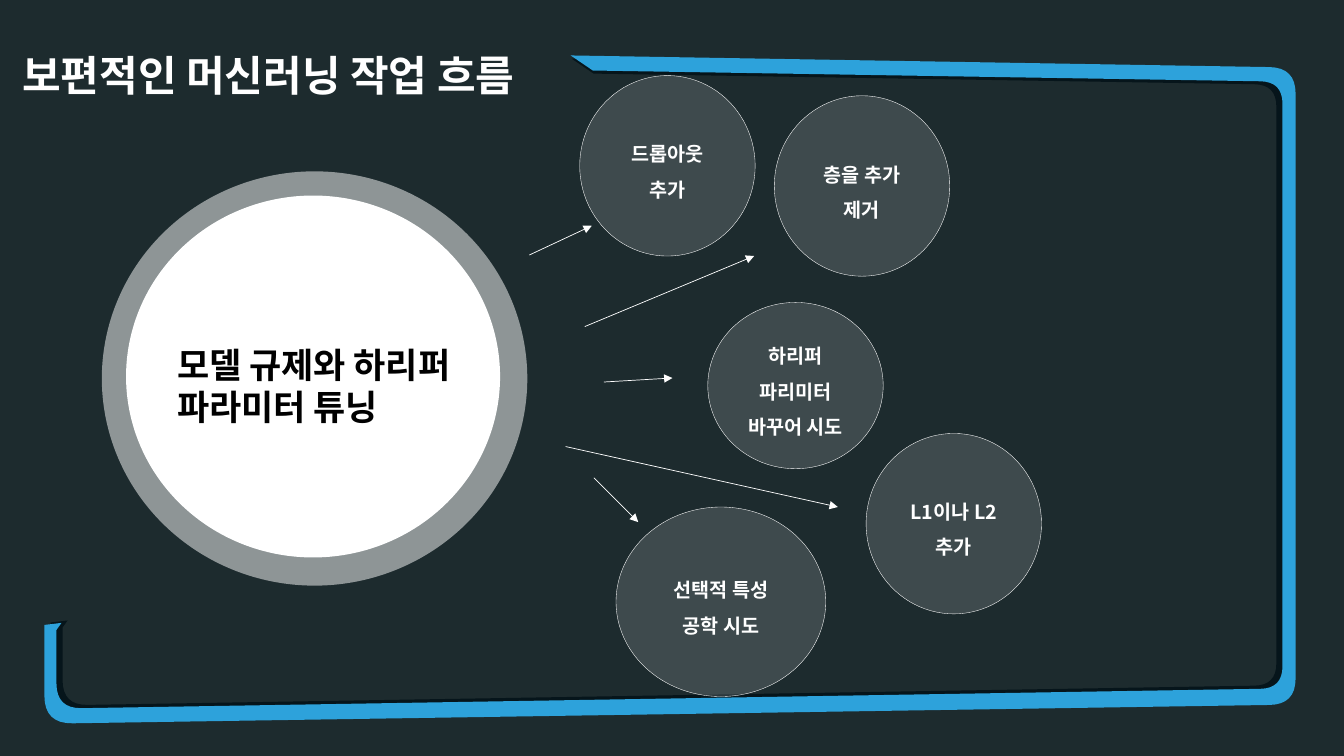
from lxml.etree import SubElement
from pptx import Presentation
from pptx.dml.color import RGBColor
from pptx.enum.shapes import MSO_CONNECTOR, MSO_SHAPE
from pptx.enum.text import MSO_ANCHOR, MSO_AUTO_SIZE, PP_ALIGN
from pptx.oxml.ns import qn
from pptx.util import Inches, Pt

HUES = {"back": "1D2B2E", "blue": "2DA2DB", "dark": "06151B",
        "white": "FFFFFF", "black": "000000"}
FACE = "Noto Sans CJK KR"
EDGE = [(5.66, 0.55, 0), (12.85, 0.67, 0.26), (12.85, 6.99, 0.26),
        (0.44, 7.18, 0.28), (0.44, 6.2, 0), (0.61, 6.18, 0),
        (0.56, 6.25, 0), (0.56, 7.03, 0.25), (12.72, 6.83, 0.22),
        (12.72, 0.81, 0.22), (5.88, 0.7, 0)]
IDEAS = [("드롭아웃 추가", (5.75, 0.75, 1.74, 1.79)),
         ("하리퍼 파리미터 바꾸어 시도", (7.02, 3, 1.74, 1.65)),
         ("선택적 특성 공학 시도", (6.11, 5.03, 2.08, 1.88)),
         ("층을 추가 제거", (7.68, 0.95, 1.74, 1.79)),
         ("L1이나 L2 추가", (8.59, 4.3, 1.74, 1.79))]
ARROWS = [(5.8, 3.24, 7.48, 2.54), (5.99, 3.79, 6.67, 3.75),
          (5.89, 4.74, 6.33, 5.18), (5.25, 2.53, 5.87, 2.24),
          (5.61, 4.43, 8.31, 5.03)]


def hue(name):
    """Return the named colour."""
    return RGBColor.from_string(HUES[name])


def apply(item, values):
    """Set each attribute of item from a dict."""
    for key, value in values.items():
        setattr(item, key, value)


def paint(shape, name, alpha=100):
    """Fill a shape without shadow or outline."""
    shape.shadow.inherit = False
    shape.fill.solid()
    shape.fill.fore_color.rgb = hue(name)
    shape.line.fill.background()
    if alpha < 100:
        tint = shape.fill._xPr.find(".//" + qn("a:srgbClr"))
        SubElement(tint, qn("a:alpha"), val=str(alpha * 1000))


def write(shape, text, size, name, frame, para):
    """Put one bold paragraph into a shape."""
    body = shape.text_frame
    apply(body, {"word_wrap": True, "auto_size": MSO_AUTO_SIZE.NONE, **frame})
    line = body.paragraphs[0]
    apply(line, para)
    run = line.add_run()
    run.text = text
    apply(run.font, {"name": FACE, "size": Pt(size), "bold": True})
    run.font.color.rgb = hue(name)
    SubElement(run.font._element, qn("a:ea"), typeface=FACE)


def curve(edge):
    """Return the points of an outline with its corners rounded."""
    dots = []
    for i, (x, y, r) in enumerate(edge):
        if not r:
            dots.append((x, y))
            continue
        ends = []
        for px, py, _ in (edge[i - 1], edge[(i + 1) % len(edge)]):
            far = ((px - x) ** 2 + (py - y) ** 2) ** 0.5
            ends.append((x + (px - x) * r / far, y + (py - y) * r / far))
        (ax, ay), (bx, by) = ends
        for t in (k / 8 for k in range(9)):
            u = 1 - t
            dots.append((u * u * ax + 2 * u * t * x + t * t * bx,
                         u * u * ay + 2 * u * t * y + t * t * by))
    return dots


def frame(slide, mid, scale, name):
    """Draw the open frame scaled about its middle."""
    dots = [tuple(Inches(m + (v - m) * scale) for v, m in zip(dot, mid))
            for dot in curve(EDGE)]
    pen = slide.shapes.build_freeform(*dots[0])
    pen.add_line_segments(dots[1:])
    paint(pen.convert_to_shape(), name)


def title(slide, box, text):
    """Set the slide title."""
    head = slide.shapes.title
    apply(head, dict(zip(("left", "top", "width", "height"), map(Inches, box))))
    write(head, text, 30, "white", {"vertical_anchor": MSO_ANCHOR.TOP},
          {"alignment": PP_ALIGN.LEFT, "line_spacing": 1.5})


def disc(slide, box, alpha=100):
    """Draw a white ellipse in the box."""
    oval = slide.shapes.add_shape(MSO_SHAPE.OVAL, *map(Inches, box))
    paint(oval, "white", alpha)
    return oval


def hub(slide, box, text):
    """Draw the main ringed circle and its label."""
    x, y, w, h = box
    disc(slide, box, 50)
    disc(slide, (x + 0.24, y + 0.24, w - 0.51, h - 0.52))
    label = slide.shapes.add_textbox(
        *map(Inches, (x + 0.65, y + 1.66, 3.36, 0.94)))
    write(label, text, 25, "black", {"vertical_anchor": MSO_ANCHOR.TOP}, {})


def idea(slide, box, text):
    """Draw one translucent circle with its text."""
    oval = disc(slide, box, 15)
    oval.line.color.rgb = hue("white")
    oval.line.width = Pt(0.25)
    write(oval, text, 14, "white", {"vertical_anchor": MSO_ANCHOR.MIDDLE},
          {"alignment": PP_ALIGN.CENTER, "line_spacing": 1.5})


def arrow(slide, ends):
    """Draw a thin arrow between two points."""
    link = slide.shapes.add_connector(MSO_CONNECTOR.STRAIGHT,
                                      *map(Inches, ends))
    link.line.color.rgb = hue("white")
    link.line.width = Pt(0.5)
    SubElement(link.line._get_or_add_ln(), qn("a:tailEnd"), type="triangle")
    SubElement(link._element.spPr, qn("a:effectLst"))


def main():
    """Build and save the slide."""
    deck = Presentation()
    apply(deck, {"slide_width": Inches(13.33), "slide_height": Inches(7.5)})
    slide = deck.slides.add_slide(deck.slide_layouts[5])
    slide.background.fill.solid()
    slide.background.fill.fore_color.rgb = hue("back")
    for scale, name in ((0.99, "dark"), (1, "blue")):
        frame(slide, (6.67, 3.75), scale, name)
    title(slide, (0.12, 0.19, 7.07, 0.76), "보편적인 머신러닝 작업 흐름")
    hub(slide, (1.01, 1.7, 4.22, 4.11), "모델 규제와 하리퍼 파라미터 튜닝")
    for ends in ARROWS:
        arrow(slide, ends)
    for text, box in IDEAS:
        idea(slide, box, text)
    deck.save("out.pptx")


if __name__ == "__main__":
    main()
